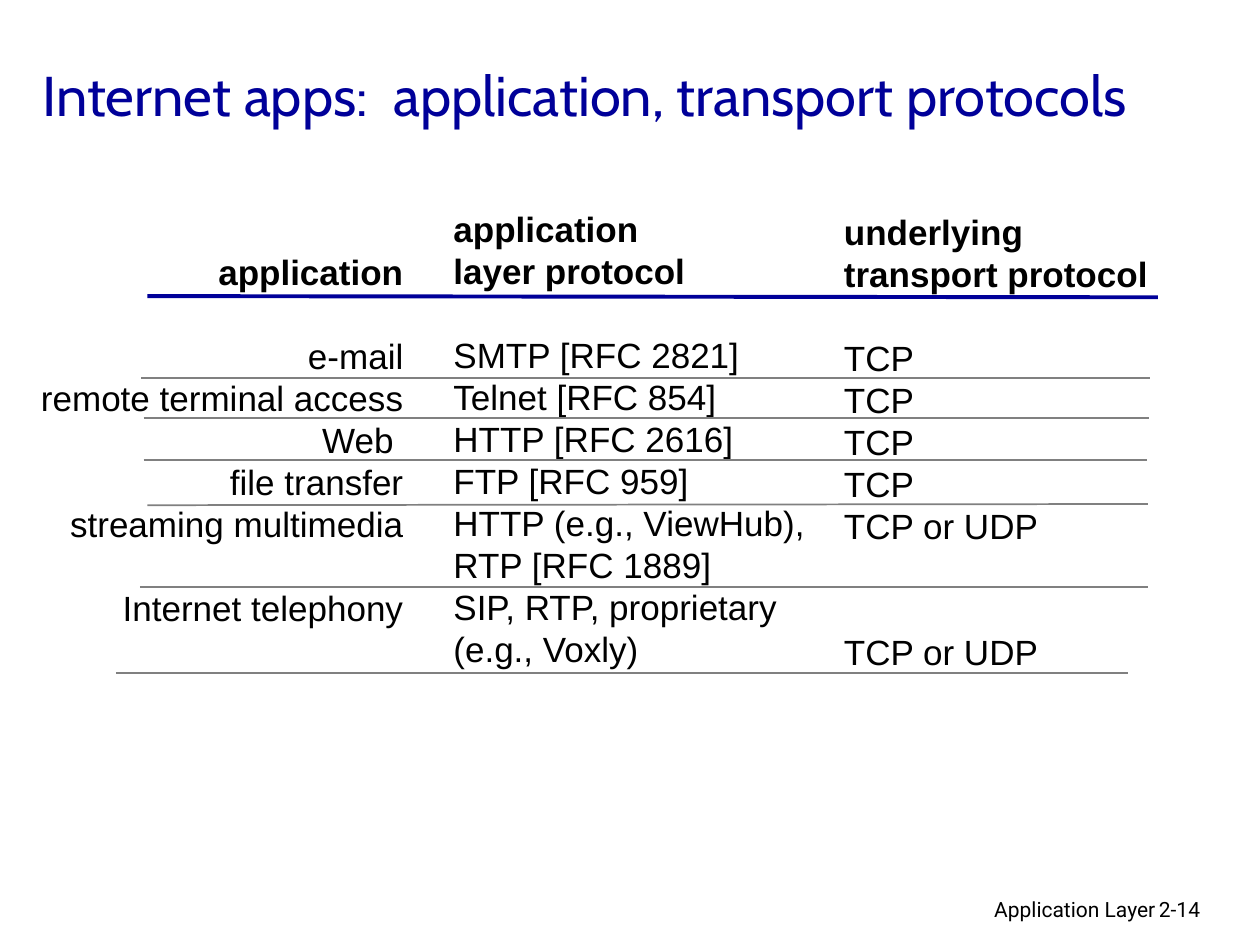
"""Build a slide listing Internet applications with their protocols."""
from lxml.etree import SubElement
from pptx import Presentation
from pptx.dml.color import RGBColor
from pptx.enum.shapes import MSO_CONNECTOR as Connector
from pptx.enum.text import MSO_ANCHOR as Anchor, PP_ALIGN as Align
from pptx.oxml.ns import qn
from pptx.util import Pt

BLACK, NAVY, GRAY = "000000", "000099", "808080"
ROW_HEIGHT = 24

TITLE = "Internet apps:  application, transport protocols"
FOOTERS = [
    ("Application Layer", (439.2, 509, 228.2, 22), Align.RIGHT),
    ("2-14", (655.2, 509, 53.3, 22), Align.LEFT),
]
COLUMNS = [
    {
        "box": (15, 139.7, 222.6, 247.7),
        "align": Align.RIGHT,
        "headings": ["application"],
        "entries": [(1, "e-mail"), (0, "remote terminal access"), (0, "Web "),
                    (0, "file transfer"), (0, "streaming multimedia"),
                    (1, "Internet telephony")],
    },
    {
        "box": (252, 115.2, 222.5, 271.4),
        "align": Align.LEFT,
        "headings": ["application", "layer protocol"],
        "entries": [(1, "SMTP [RFC 2821]"), (0, "Telnet [RFC 854]"),
                    (0, "HTTP [RFC 2616]"), (0, "FTP [RFC 959]"),
                    (0, "HTTP (e.g., ViewHub), \vRTP [RFC 1889]"),
                    (0, "SIP, RTP, proprietary"), (0, "(e.g., Voxly)")],
    },
    {
        "box": (475.2, 116.6, 206.6, 271.4),
        "align": Align.LEFT,
        "headings": ["underlying", "transport protocol"],
        "entries": [(1, "TCP"), (0, "TCP"), (0, "TCP"), (0, "TCP"),
                    (0, "TCP or UDP"), (2, "TCP or UDP")],
    },
]
HEADER_RULE = (84.2, 169.2, 661.7, 169.9)
ROW_RULES = [
    (80.6, 216, 657.4, 216),
    (82.1, 239, 656.6, 239),
    (82.1, 262.8, 655.2, 262.8),
    (84.2, 288.7, 655.9, 288),
    (79.9, 335.5, 655.9, 335.5),
    (66.2, 384.5, 644.4, 384.5),
]


def color(value):
    return RGBColor.from_string(value)


def apply(target, **values):
    for name, value in values.items():
        setattr(target, name, value)


def add_text(slide, box, paragraphs, font, size, text_color=BLACK,
             anchor=Anchor.TOP, **paragraph_format):
    frame = slide.shapes.add_textbox(*map(Pt, box)).text_frame
    apply(frame, word_wrap=True, vertical_anchor=anchor)
    for index, (skipped_rows, text, bold) in enumerate(paragraphs):
        paragraph = frame.add_paragraph() if index else frame.paragraphs[0]
        apply(paragraph, text=text, space_before=Pt(skipped_rows * ROW_HEIGHT),
              **paragraph_format)
        for run in paragraph.runs:
            apply(run.font, name=font, size=Pt(size), bold=bold)
            run.font.color.rgb = color(text_color)


def add_rule(slide, ends, line_color, width):
    rule = slide.shapes.add_connector(Connector.STRAIGHT, *map(Pt, ends))
    rule.line.color.rgb = color(line_color)
    rule.line.width = Pt(width)
    SubElement(rule._element.spPr, qn("a:effectLst"))


def main():
    presentation = Presentation()
    apply(presentation, slide_width=Pt(720), slide_height=Pt(540))
    slide = presentation.slides.add_slide(presentation.slide_layouts[6])

    for text, box, align in FOOTERS:
        add_text(slide, box, [(0, text, False)], "Roboto", 12, alignment=align)
    add_text(slide, (17.3, 20.9, 689, 66.2), [(0, TITLE, False)], "Cabin", 32,
             NAVY, Anchor.MIDDLE)
    for column in COLUMNS:
        paragraphs = [(0, text, True) for text in column["headings"]]
        paragraphs += [(skip, text, False) for skip, text in column["entries"]]
        add_text(slide, column["box"], paragraphs, "Arial", 20,
                 alignment=column["align"], line_spacing=Pt(ROW_HEIGHT))

    add_rule(slide, HEADER_RULE, NAVY, 2.25)
    for ends in ROW_RULES:
        add_rule(slide, ends, GRAY, 1)
    presentation.save("out.pptx")


if __name__ == "__main__":
    main()
